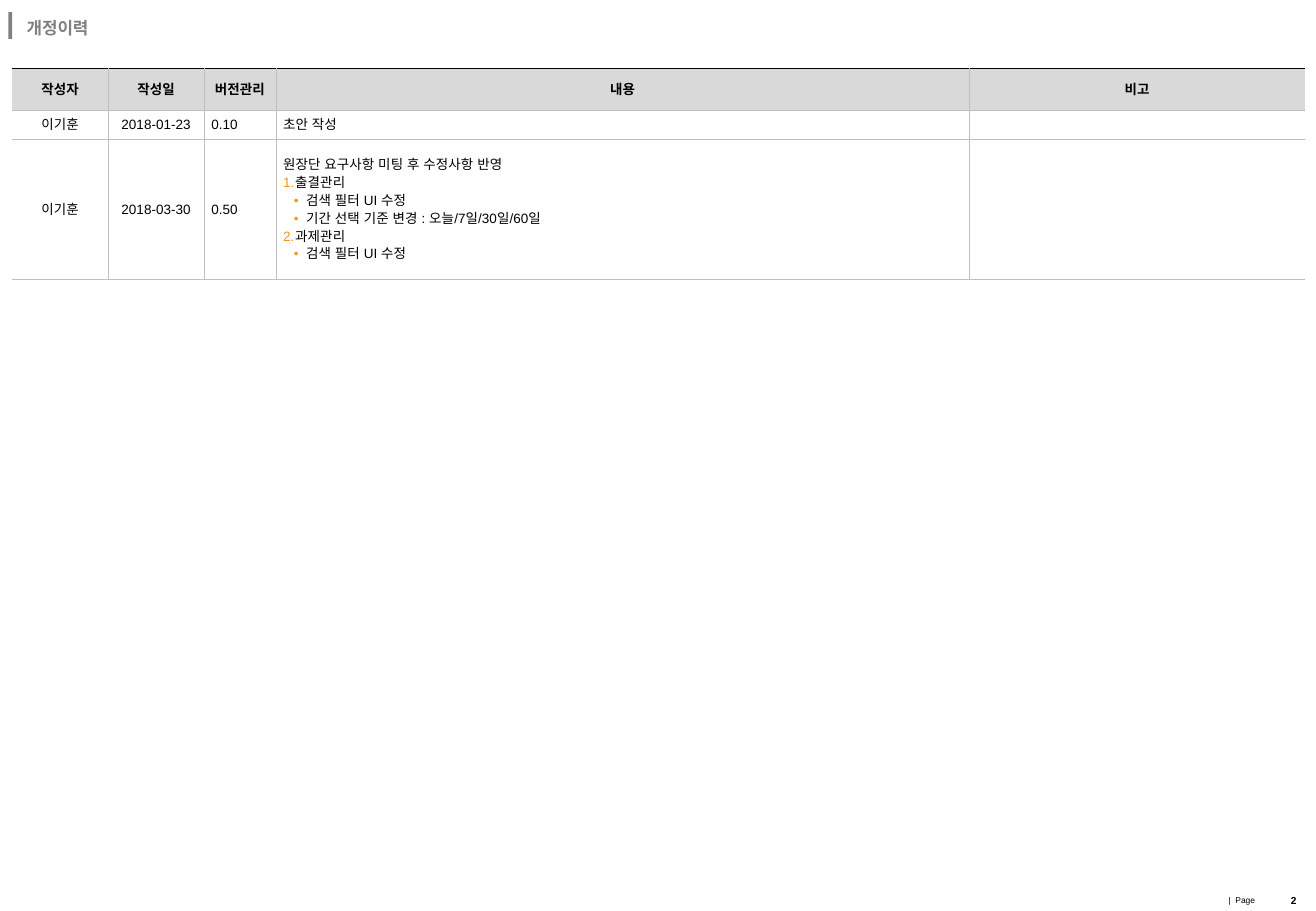
from dataclasses import dataclass

from lxml.etree import SubElement
from pptx import Presentation
from pptx.dml.color import RGBColor as Color
from pptx.enum.shapes import MSO_SHAPE as Preset
from pptx.enum.text import MSO_ANCHOR as Anchor, MSO_AUTO_SIZE as AutoSize, PP_ALIGN as Align
from pptx.oxml.ns import qn
from pptx.util import Inches, Pt


@dataclass(frozen=True)
class Theme:
    font: str = "Arial"
    ink: str = "000000"
    title: str = "808080"
    header: str = "D9D9D9"
    paper: str = "FFFFFF"
    rule: str = "BFBFBF"
    bullet: str = "F8931D"
    title_size: float = 10
    table_size: float = 8
    number_size: float = 6
    label_size: float = 5
    rule_width: float = 0.25


THEME = Theme()
SLIDE_WIDTH, SLIDE_HEIGHT = 10.83, 7.5
COLUMNS = [0.79, 0.79, 0.59, 5.71, 2.76]
ROWS = [0.35, 0.24, 1.15]
CENTERED_COLUMNS = (0, 1)
HEADER = ["작성자", "작성일", "버전관리", "내용", "비고"]
# Each content line is (kind, text); kind is "" , "bullet" or the item number
REVISIONS = [
    ["이기훈", "2018-01-23", "0.10", [("", "초안 작성")], ""],
    ["이기훈", "2018-03-30", "0.50", [
        ("", "원장단 요구사항 미팅 후 수정사항 반영"),
        (1, "출결관리"),
        ("bullet", "검색 필터 UI 수정"),
        ("bullet", "기간 선택 기준 변경 : 오늘/7일/30일/60일"),
        (2, "과제관리"),
        ("bullet", "검색 필터 UI 수정"),
    ], ""],
]


def apply(target, formats):
    for name, value in formats.items():
        setattr(target, name, value)


def write(paragraph, text, size, color=THEME.ink, bold=False, **formats):
    apply(paragraph, formats)
    if not text:
        end = SubElement(paragraph._p, qn("a:endParaRPr"))
        end.set("sz", str(int(size * 100)))
        return
    run = paragraph.add_run()
    run.text = text
    apply(run.font, {"name": THEME.font, "size": Pt(size), "bold": bold})
    run.font.color.rgb = Color.from_string(color)
    SubElement(run._r.get_or_add_rPr(), qn("a:ea")).set("typeface", THEME.font)


def set_frame(frame, side, wrap=True, anchor=Anchor.MIDDLE):
    apply(frame, {"margin_left": Inches(side), "margin_right": Inches(side),
                  "margin_top": Inches(0.04), "margin_bottom": Inches(0.04),
                  "word_wrap": wrap, "vertical_anchor": anchor,
                  "auto_size": AutoSize.NONE})


def add_marker(paragraph, kind):
    """Give a content line its orange number or dot."""
    properties = paragraph._p.get_or_add_pPr()
    indent = 0.19 if kind == "bullet" else 0.1
    properties.set("marL", str(Inches(indent)))
    properties.set("indent", str(Inches(-0.1)))
    color = SubElement(properties, qn("a:buClr"))
    SubElement(color, qn("a:srgbClr")).set("val", THEME.bullet)
    SubElement(properties, qn("a:buFont")).set("typeface", THEME.font)
    if kind == "bullet":
        SubElement(properties, qn("a:buChar")).set("char", "•")
    else:
        number = SubElement(properties, qn("a:buAutoNum"))
        number.set("type", "arabicPeriod")
        number.set("startAt", str(kind))


def set_borders(cell, colors):
    """Draw left, right, top and bottom rules; None leaves a side open."""
    properties = cell._tc.get_or_add_tcPr()
    for side, color in zip("LRTB", colors):
        line = SubElement(properties, qn(f"a:ln{side}"))
        line.set("w", str(Pt(THEME.rule_width)))
        if color:
            fill = SubElement(line, qn("a:solidFill"))
            SubElement(fill, qn("a:srgbClr")).set("val", color)
        else:
            SubElement(line, qn("a:noFill"))


def add_heading(slide, left, top, width, height):
    # Grey bar beside the title
    bar = slide.shapes.add_shape(Preset.RECTANGLE, Inches(left), Inches(top),
                                 Inches(0.03), Inches(0.22))
    bar.shadow.inherit = False
    bar.fill.solid()
    bar.fill.fore_color.rgb = Color.from_string(THEME.title)
    bar.line.fill.background()
    # Title
    title = slide.shapes.title
    apply(title, {"left": Inches(left + 0.08), "top": Inches(top + 0.01),
                  "width": Inches(width - 0.08), "height": Inches(height)})
    set_frame(title.text_frame, 0.07)
    write(title.text_frame.paragraphs[0], "개정이력", THEME.title_size, THEME.title, True,
          alignment=Align.LEFT, line_spacing=0.5, space_before=Pt(10.5))


def add_revision_table(slide, left, top):
    shape = slide.shapes.add_table(len(ROWS), len(COLUMNS), Inches(left), Inches(top),
                                   Inches(sum(COLUMNS)), Inches(sum(ROWS)))
    table = shape.table
    apply(table, {"first_row": False, "horz_banding": False})
    for column, width in zip(table.columns, COLUMNS):
        column.width = Inches(width)
    for row, height in zip(table.rows, ROWS):
        row.height = Inches(height)

    for r, values in enumerate([HEADER, *REVISIONS]):
        is_header = r == 0
        for c, value in enumerate(values):
            cell = table.cell(r, c)
            set_borders(cell, [THEME.rule if c > 0 else None,
                               THEME.rule if c < len(COLUMNS) - 1 else None,
                               THEME.ink if is_header else THEME.rule,
                               THEME.rule])
            cell.fill.solid()
            cell.fill.fore_color.rgb = Color.from_string(
                THEME.header if is_header else THEME.paper)
            apply(cell, {"margin_left": Inches(0.06), "margin_right": Inches(0.06),
                         "margin_top": Inches(0.04), "margin_bottom": Inches(0.04),
                         "vertical_anchor": Anchor.MIDDLE})
            centered = is_header or c in CENTERED_COLUMNS
            lines = value if isinstance(value, list) else [("", value)]
            for i, (kind, text) in enumerate(lines):
                frame = cell.text_frame
                paragraph = frame.add_paragraph() if i else frame.paragraphs[0]
                write(paragraph, text, THEME.table_size, bold=is_header,
                      alignment=Align.CENTER if centered else Align.LEFT,
                      space_before=Pt(0.2 * THEME.table_size))
                if kind:
                    add_marker(paragraph, kind)


def add_footer(slide, right, bottom):
    # Page label, then page number
    label = slide.shapes.add_textbox(Inches(right - 0.67), Inches(bottom - 0.17),
                                     Inches(0.3), Inches(0.16))
    set_frame(label.text_frame, 0.04, wrap=False, anchor=Anchor.TOP)
    write(label.text_frame.paragraphs[0], "|  Page", THEME.label_size)
    number = slide.shapes.add_textbox(Inches(right - 0.31), Inches(bottom - 0.18),
                                      Inches(0.31), Inches(0.18))
    set_frame(number.text_frame, 0.07)
    write(number.text_frame.paragraphs[0], "2", THEME.number_size, bold=True,
          alignment=Align.RIGHT)


def main():
    presentation = Presentation()
    apply(presentation, {"slide_width": Inches(SLIDE_WIDTH),
                         "slide_height": Inches(SLIDE_HEIGHT)})
    slide = presentation.slides.add_slide(presentation.slide_layouts[5])
    add_heading(slide, 0.07, 0.1, 4.42, 0.29)
    add_revision_table(slide, 0.1, 0.56)
    add_footer(slide, SLIDE_WIDTH - 0.09, SLIDE_HEIGHT)
    presentation.save("out.pptx")


if __name__ == "__main__":
    main()
